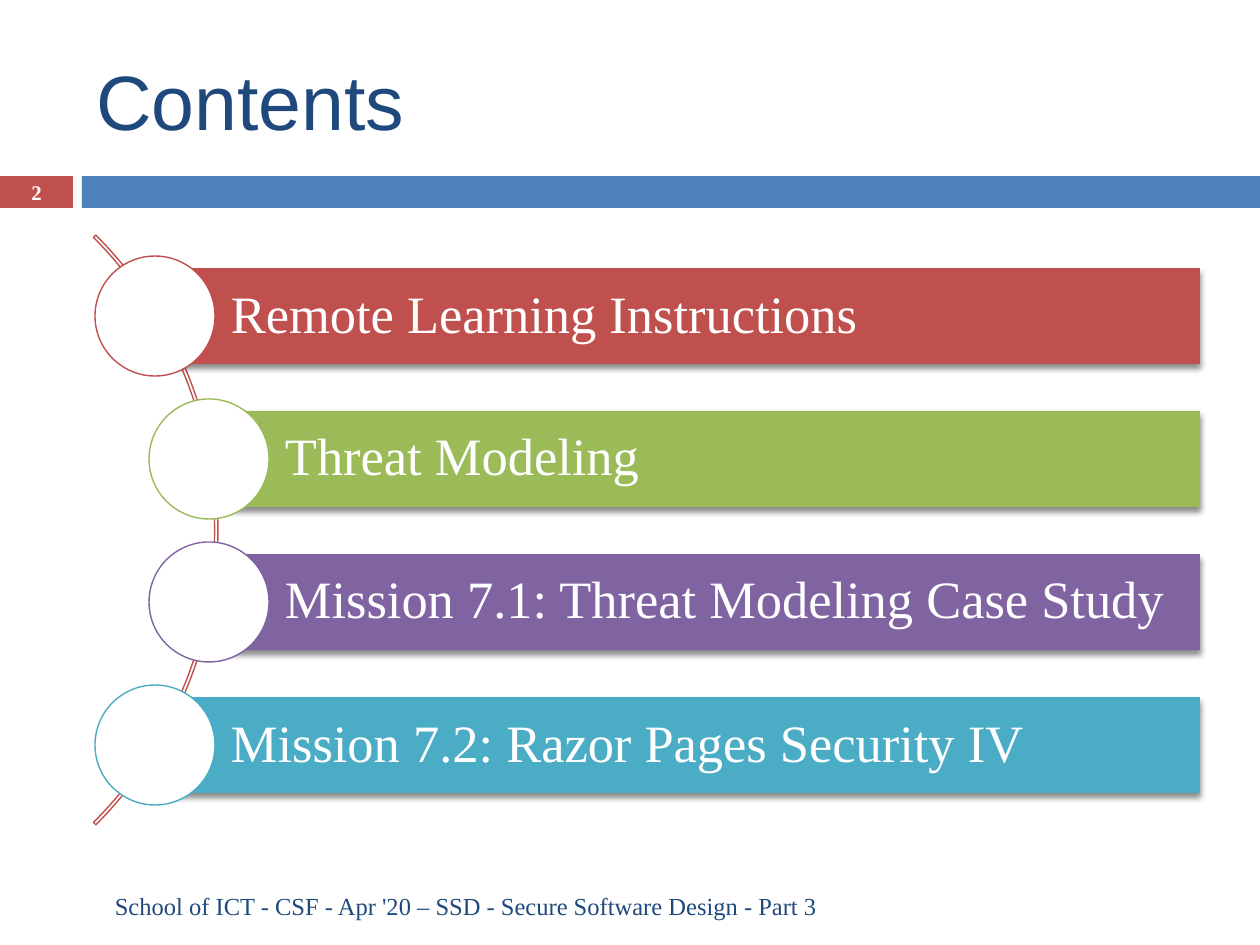
from dataclasses import dataclass

from lxml import etree
from pptx import Presentation
from pptx import util as u
from pptx.dml.color import RGBColor
from pptx.enum import shapes, text
from pptx.oxml import ns


@dataclass(frozen=True)
class Theme:
    white: str = "FFFFFF"
    navy: str = "1F497D"
    blue: str = "4F81BD"
    red: str = "C0504D"
    green: str = "9BBB59"
    purple: str = "8064A2"
    teal: str = "4BACC6"
    shadow: str = "000000"
    heading: str = "Arial"
    body: str = "Times New Roman"
    title_size: float = 44
    item_size: float = 30
    footer_size: float = 14
    number_size: float = 11.9
    outline: float = 0.79


THEME = Theme()
SHAPE = shapes.MSO_SHAPE
ALIGN = text.PP_ALIGN
PITCH, BAR_H, DISC, BAR_RIGHT = 143, 96, 120, 1200
FIRST_BAR = 268
OUTER, INNER = 155, 209
ITEMS = [
    ("Remote Learning Instructions", THEME.red, OUTER),
    ("Threat Modeling", THEME.green, INNER),
    ("Mission 7.1: Threat Modeling Case Study", THEME.purple, INNER),
    ("Mission 7.2: Razor Pages Security IV", THEME.teal, OUTER),
]


def px(n):
    return u.Emu(round(n * u.Inches(10) / 1260))


def set_all(obj, values):
    for name, value in values.items():
        setattr(obj, name, value)


def add_shape(s, kind, box, fill=None, line=None):
    sp = s.shapes.add_shape(kind, *map(px, box))
    sp.shadow.inherit = False
    if fill:
        sp.fill.solid()
        sp.fill.fore_color.rgb = RGBColor.from_string(fill)
    else:
        sp.fill.background()
    if line:
        sp.line.color.rgb = RGBColor.from_string(line)
        sp.line.width = u.Pt(THEME.outline)
    else:
        sp.line.fill.background()
    return sp


def write(sp, words, size, color, font=THEME.body, align=ALIGN.LEFT,
          bold=False, frame=None, spacing=None):
    tf = sp.text_frame
    set_all(tf, {"word_wrap": True, "vertical_anchor": text.MSO_ANCHOR.MIDDLE,
                 **(frame or {})})
    p = tf.paragraphs[0]
    set_all(p, {"alignment": align, "line_spacing": spacing})
    r = p.add_run()
    r.text = words
    set_all(r.font, {"name": font, "size": u.Pt(size), "bold": bold})
    r.font.color.rgb = RGBColor.from_string(color)


def add_text(s, box, words, size, color, **options):
    write(s.shapes.add_textbox(*map(px, box)), words, size, color, **options)


def add_shadow(sp):
    effects = sp._element.spPr.find(ns.qn("a:effectLst"))
    outer = etree.SubElement(effects, ns.qn("a:outerShdw"), {
        "blurRad": str(u.Pt(3)), "dist": str(u.Pt(2.4)),
        "dir": "5400000", "rotWithShape": "0"})
    color = etree.SubElement(outer, ns.qn("a:srgbClr"), val=THEME.shadow)
    etree.SubElement(color, ns.qn("a:alpha"), val="45000")


def add_arc(s):
    arc = add_shape(s, SHAPE.BLOCK_ARC, (-616, 113, 834, 834), line=THEME.red)
    for i, value in enumerate((189, 27, 0.004)):
        arc.adjustments[i] = value


def add_item(s, index, words, color, left):
    top = FIRST_BAR + index * PITCH
    bar = add_shape(s, SHAPE.RECTANGLE, (left, top, BAR_RIGHT - left, BAR_H), color)
    add_shadow(bar)
    frame = {"margin_left": px(76), "margin_right": px(10),
             "margin_top": px(10), "margin_bottom": px(10)}
    write(bar, words, THEME.item_size, THEME.white, frame=frame, spacing=0.9)
    disc_top = top + (BAR_H - DISC) // 2
    add_shape(s, SHAPE.OVAL, (left - DISC // 2, disc_top, DISC, DISC),
              THEME.white, color)


def add_header(s):
    add_shape(s, SHAPE.RECTANGLE, (0, 176, 73, 32), THEME.red)
    add_shape(s, SHAPE.RECTANGLE, (82, 176, 1178, 32), THEME.blue)
    add_text(s, (84, 32, 1124, 136), "Contents", THEME.title_size, THEME.navy,
             font=THEME.heading)
    add_text(s, (0, 175, 73, 34), "2", THEME.number_size, THEME.white,
             align=ALIGN.CENTER, bold=True)


def main():
    prs = Presentation()
    set_all(prs, {"slide_width": px(1260), "slide_height": px(945)})
    s = prs.slides.add_slide(prs.slide_layouts[6])
    add_header(s)
    add_arc(s)
    for index, item in enumerate(ITEMS):
        add_item(s, index, *item)
    add_text(s, (18, 881, 812, 50),
             "School of ICT - CSF - Apr '20 – SSD - Secure Software Design - Part 3",
             THEME.footer_size, THEME.navy, align=ALIGN.RIGHT)
    prs.save("out.pptx")


if __name__ == "__main__":
    main()
